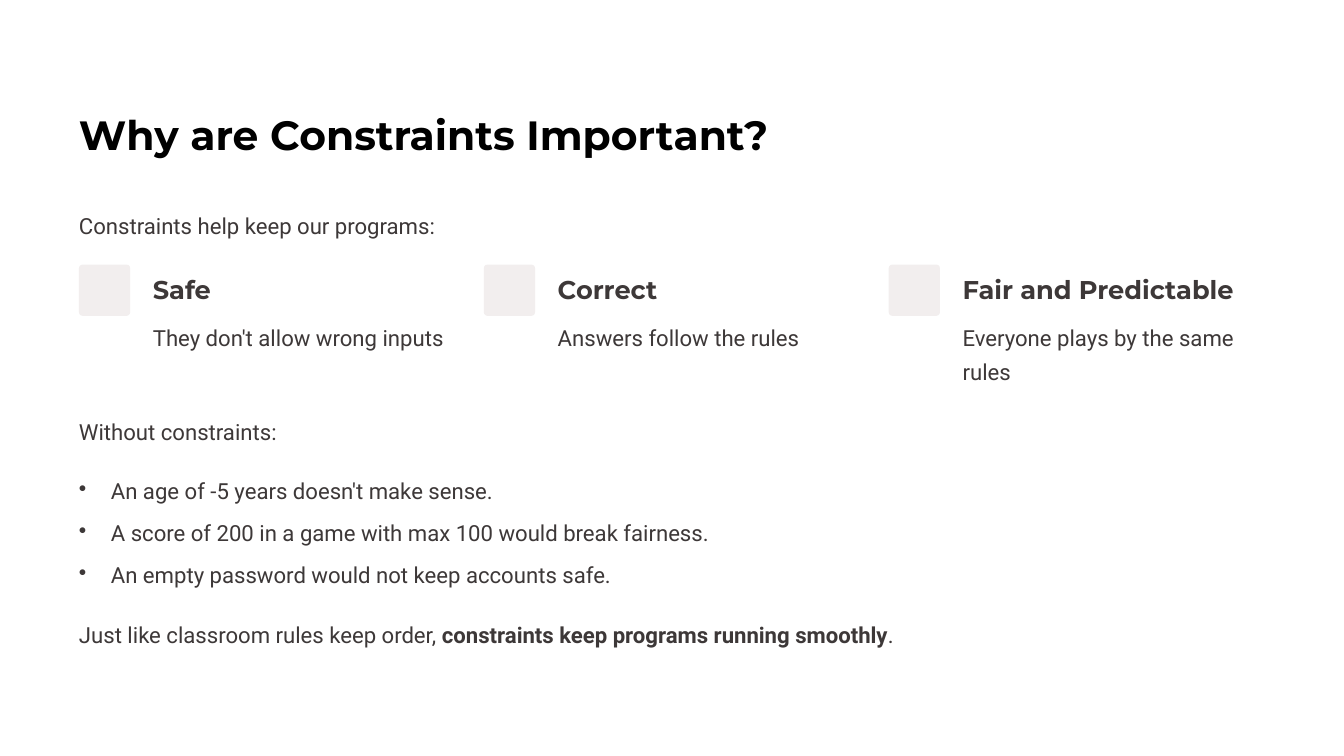
from pptx import Presentation
from pptx.dml.color import RGBColor
from pptx.enum.shapes import MSO_SHAPE
from pptx.util import Inches, Pt
from lxml import etree

ROUNDED = MSO_SHAPE.ROUNDED_RECTANGLE
COLORS = {"title": "000000", "body": "3D3838", "tile": "F2EEEE"}
DRAWING_NS = "{http://schemas.openxmlformats.org/drawingml/2006/main}"
STYLES = {
    "title": ("Montserrat", 35, 44, True, "title"),
    "heading": ("Montserrat", 22, 27.5, True, "body"),
    "body": ("Roboto", 19, 29, False, "body"),
}


class ConstraintsSlide:
    """Holds the text styles and the slide being filled."""

    def __init__(self, slide):
        self.slide = slide

    def paragraph(self, paragraph, runs, style):
        face, size, leading, bold, color = STYLES[style]
        paragraph.line_spacing = Pt(leading)
        font = paragraph.font
        font.name, font.size, font.bold = face, Pt(size), bold
        font.color.rgb = RGBColor.from_string(COLORS[color])
        for wording, strong in runs:
            run = paragraph.add_run()
            run.text = wording
            if strong:
                run.font.bold = True

    def frame(self, left, top, width, height):
        box = self.slide.shapes.add_textbox(
            Inches(left), Inches(top), Inches(width), Inches(height))
        frame = box.text_frame
        frame.word_wrap = True
        frame.margin_left = frame.margin_right = 0
        frame.margin_top = frame.margin_bottom = 0
        return frame

    def text(self, left, top, width, height, runs, style="body"):
        if isinstance(runs, str):
            runs = [(runs, False)]
        frame = self.frame(left, top, width, height)
        self.paragraph(frame.paragraphs[0], runs, style)

    def bullets(self, left, top, width, height, items):
        frame = self.frame(left, top, width, height)
        for index, item in enumerate(items):
            paragraph = frame.add_paragraph() if index else frame.paragraphs[0]
            paragraph.space_after = Pt(7)
            self.paragraph(paragraph, [(item, False)], "body")
            properties = paragraph.font._element.getparent()
            properties.set("marL", str(Inches(0.38)))
            properties.set("indent", str(-Inches(0.38)))
            bullet = etree.Element(DRAWING_NS + "buChar", char="•")
            properties.find(DRAWING_NS + "defRPr").addprevious(bullet)

    def tile(self, left, top, side):
        tile = self.slide.shapes.add_shape(
            ROUNDED, Inches(left), Inches(top), Inches(side), Inches(side))
        tile.adjustments[0] = 0.07
        tile.shadow.inherit = False
        tile.fill.solid()
        tile.fill.fore_color.rgb = RGBColor.from_string(COLORS["tile"])
        tile.line.fill.background()


def main():
    presentation = Presentation()
    presentation.slide_width, presentation.slide_height = Inches(16), Inches(9)
    page = ConstraintsSlide(
        presentation.slides.add_slide(presentation.slide_layouts[6]))
    margin, content_width = 0.94, 14.11

    page.text(margin, 1.28, content_width, 0.61,
              "Why are Constraints Important?", "title")
    page.text(margin, 2.44, content_width, 0.4,
              "Constraints help keep our programs:")

    benefits = [
        ("Safe", "They don't allow wrong inputs", 0.4),
        ("Correct", "Answers follow the rules", 0.4),
        ("Fair and Predictable", "Everyone plays by the same rules", 0.81),
    ]
    for column, (heading, explanation, height) in enumerate(benefits):
        left = margin + column * 4.82
        page.tile(left, 3.15, 0.61)
        page.text(left + 0.88, 3.24, 3.6, 0.38, heading, "heading")
        page.text(left + 0.88, 3.78, 3.6, height, explanation)

    page.text(margin, 4.9, content_width, 0.4, "Without constraints:")
    page.bullets(margin, 5.6, content_width, 1.4, [
        "An age of -5 years doesn't make sense.",
        "A score of 200 in a game with max 100 would break fairness.",
        "An empty password would not keep accounts safe.",
    ])
    page.text(margin, 7.31, content_width, 0.4, [
        ("Just like classroom rules keep order, ", False),
        ("constraints keep programs running smoothly", True),
        (".", False),
    ])
    presentation.save("out.pptx")


if __name__ == "__main__":
    main()
